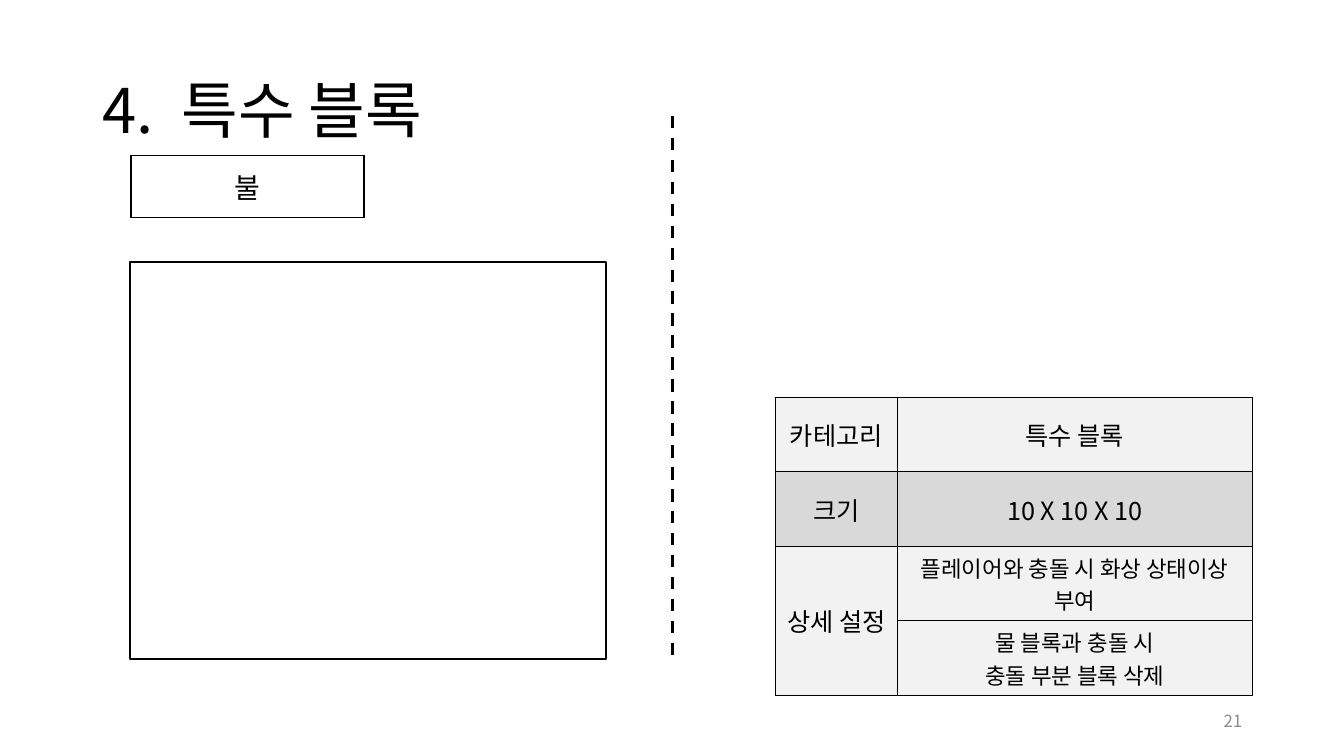
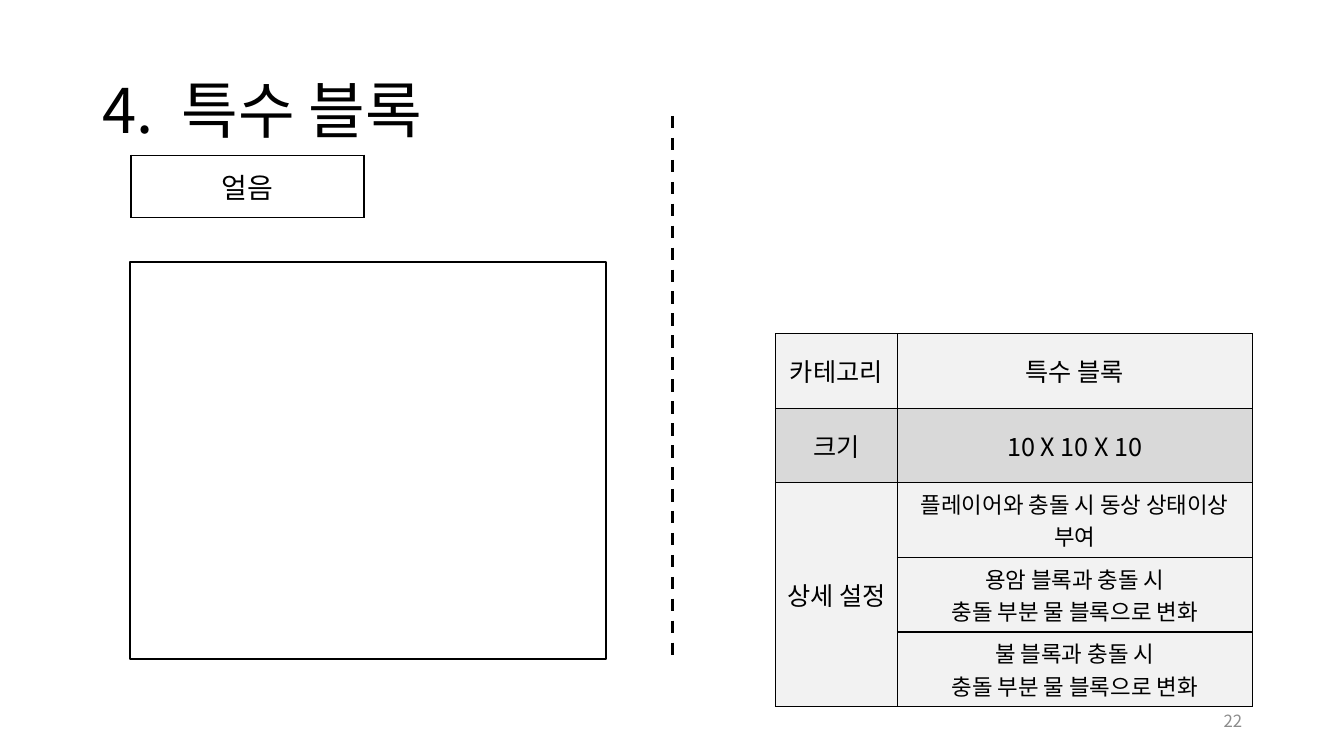
from lxml import etree
from pptx import Presentation
from pptx.dml.color import RGBColor
from pptx.enum import dml, shapes, text
from pptx.oxml import ns
from pptx.util import Inches, Pt

FONT = "Noto Sans CJK KR"
BLACK = RGBColor(0x00, 0x00, 0x00)
WHITE = RGBColor(0xFF, 0xFF, 0xFF)
GRAY = RGBColor(0x8C, 0x8C, 0x8C)
PALE = RGBColor(0xF2, 0xF2, 0xF2)
BAND = RGBColor(0xD9, 0xD9, 0xD9)

TITLE = "4.  특수 블록"
SHARED_ROWS = [("카테고리", "특수 블록"), ("크기", "10 X 10 X 10")]
ROW_HEIGHT = 0.74

BLOCKS = [
    {
        "name": "불",
        "number": 21,
        "table_top": 3.94,
        "details": ["플레이어와 충돌 시 화상 상태이상 부여",
                    "물 블록과 충돌 시\n충돌 부분 블록 삭제"],
    },
    {
        "name": "얼음",
        "number": 22,
        "table_top": 3.31,
        "details": ["플레이어와 충돌 시 동상 상태이상 부여",
                    "용암 블록과 충돌 시\n충돌 부분 물 블록으로 변화",
                    "불 블록과 충돌 시\n충돌 부분 물 블록으로 변화"],
    },
]


def write(frame, content, size, color=BLACK, align=text.PP_ALIGN.CENTER):
    frame.text = content
    for para in frame.paragraphs:
        para.alignment = align
        para.font.size = Pt(size)
        para.font.color.rgb = color
        para.font.name = FONT
        props = para._p.pPr.find(ns.qn("a:defRPr"))
        etree.SubElement(props, ns.qn("a:ea"), typeface=FONT)


def add_text(page, content, left, top, width, height, size, color, align):
    box = page.shapes.add_textbox(Inches(left), Inches(top), Inches(width), Inches(height))
    frame = box.text_frame
    frame.word_wrap = True
    frame.vertical_anchor = text.MSO_ANCHOR.MIDDLE
    write(frame, content, size, color, align)
    return frame


def add_divider(page):
    line = page.shapes.add_connector(
        shapes.MSO_CONNECTOR.STRAIGHT, Inches(6.67), Inches(1.15), Inches(6.67), Inches(6.54))
    line.line.color.rgb = BLACK
    line.line.width = Pt(2.25)
    line.line.dash_style = dml.MSO_LINE.DASH
    etree.SubElement(line._element.spPr, ns.qn("a:effectLst"))


def add_frame(page):
    frame = page.shapes.add_shape(
        shapes.MSO_SHAPE.RECTANGLE, Inches(1.29), Inches(2.6), Inches(4.72), Inches(3.94))
    frame.shadow.inherit = False
    frame.fill.background()
    frame.line.color.rgb = BLACK
    frame.line.width = Pt(1.5)


def add_borders(cell):
    props = cell._tc.get_or_add_tcPr()
    for side in ("lnL", "lnR", "lnT", "lnB"):
        border = etree.SubElement(props, ns.qn("a:" + side), w=str(Pt(1)))
        fill = etree.SubElement(border, ns.qn("a:solidFill"))
        etree.SubElement(fill, ns.qn("a:srgbClr"), val=str(BLACK))


def style_cell(cell, content, size, fill):
    add_borders(cell)
    cell.fill.solid()
    cell.fill.fore_color.rgb = fill
    cell.vertical_anchor = text.MSO_ANCHOR.MIDDLE
    write(cell.text_frame, content, size)


def add_grid(page, left, top, widths, height, row_count):
    table = page.shapes.add_table(
        row_count, len(widths), Inches(left), Inches(top),
        Inches(sum(widths)), Inches(height * row_count)).table
    table.first_row = False
    table.horz_banding = False
    for column, width in zip(table.columns, widths):
        column.width = Inches(width)
    return table


def add_name_label(page, name):
    table = add_grid(page, 1.3, 1.54, [2.31], 0.62, 1)
    style_cell(table.cell(0, 0), name, 20, WHITE)


def add_block_table(page, top, details):
    first_detail = len(SHARED_ROWS)
    rows = SHARED_ROWS + [("", detail) for detail in details]
    rows[first_detail] = ("상세 설정", details[0])
    table = add_grid(page, 7.69, top, [1.21, 3.52], ROW_HEIGHT, len(rows))
    for index, (label, value) in enumerate(rows):
        fill = BAND if index == 1 else PALE
        style_cell(table.cell(index, 0), label, 18, fill)
        style_cell(table.cell(index, 1), value, 18 if index < first_detail else 16, fill)
    table.cell(first_detail, 0).merge(table.cell(len(rows) - 1, 0))


def add_block_page(deck, block):
    page = deck.slides.add_slide(deck.slide_layouts[6])
    title = add_text(page, TITLE, 0.92, 0.4, 11.5, 1.45, 44, BLACK, text.PP_ALIGN.LEFT)
    title.paragraphs[0].line_spacing = 0.9
    add_text(page, str(block["number"]), 9.42, 6.95, 3, 0.4, 12, GRAY, text.PP_ALIGN.RIGHT)
    add_divider(page)
    add_name_label(page, block["name"])
    add_block_table(page, block["table_top"], block["details"])
    add_frame(page)


def main():
    deck = Presentation()
    deck.slide_width = Inches(13.33)
    deck.slide_height = Inches(7.5)
    for block in BLOCKS:
        add_block_page(deck, block)
    deck.save("out.pptx")


if __name__ == "__main__":
    main()
